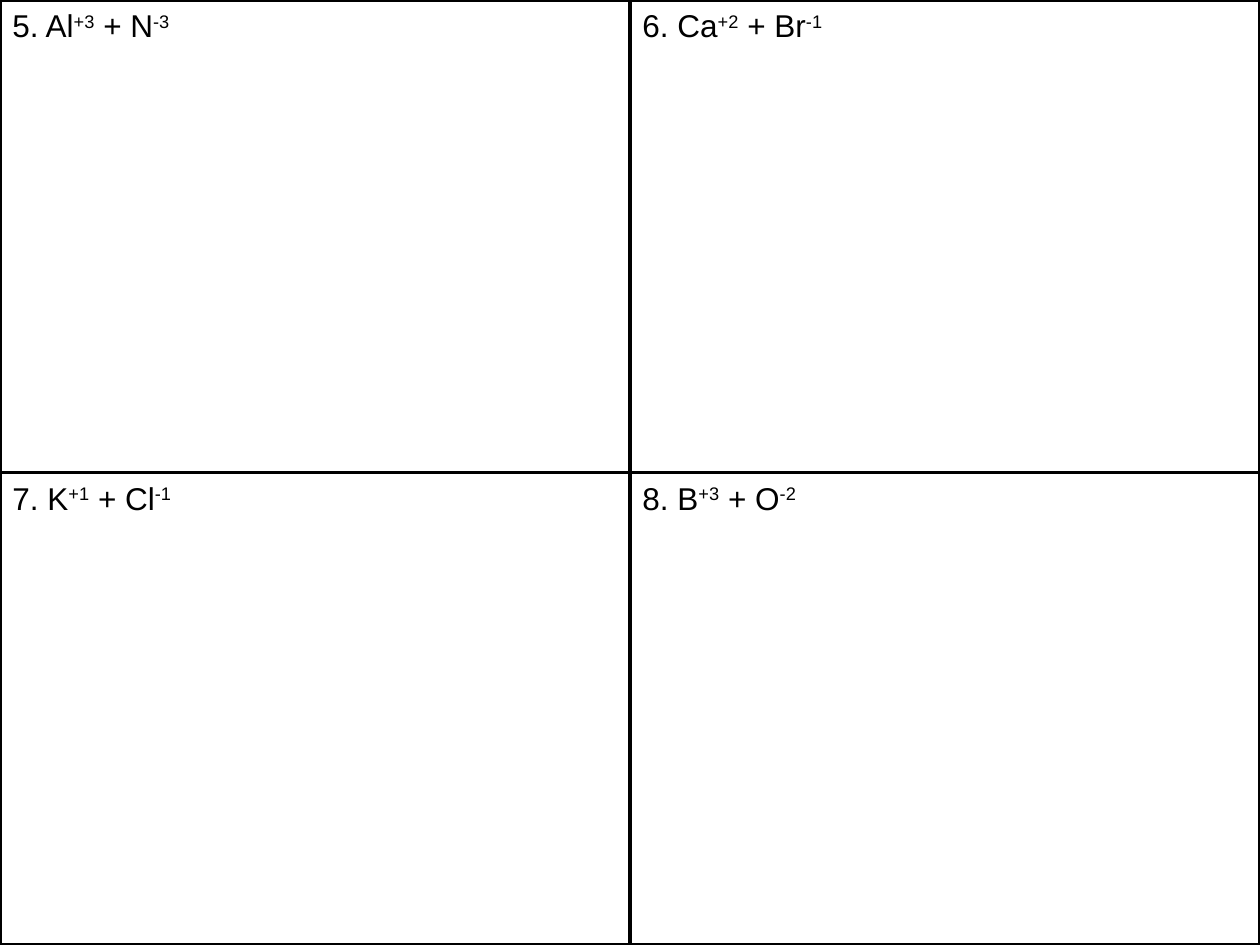
from lxml import etree
from pptx import Presentation
from pptx import util as u
from pptx.dml.color import RGBColor
from pptx.enum import shapes, text
from pptx.oxml.ns import qn

# Content: number, then (symbol, charge) of each ion
PROBLEMS = [
    ("5. ", ("Al", "+3"), ("N", "-3")),
    ("6. ", ("Ca", "+2"), ("Br", "-1")),
    ("7. ", ("K", "+1"), ("Cl", "-1")),
    ("8. ", ("B", "+3"), ("O", "-2")),
]
COLORS = {"ink": "000000", "paper": "FFFFFF"}
WIDTH, HEIGHT = 10, 7.5
COLUMNS, ROWS = 2, 2
CELL_WIDTH, CELL_HEIGHT = WIDTH / COLUMNS, HEIGHT / ROWS
RULE = 2


def color(name):
    return RGBColor.from_string(COLORS[name])


def style_line(line):
    line.color.rgb = color("ink")
    line.width = u.Pt(RULE)


def add_rule(page, start, end):
    rule = page.shapes.add_connector(
        shapes.MSO_CONNECTOR.STRAIGHT, *map(u.Inches, start + end))
    style_line(rule.line)
    etree.SubElement(rule._element.spPr, qn("a:effectLst"))


def add_text(page, spans, left, top, width=WIDTH / 3, height=0.4,
             size=18, font="Arial", ink="ink", raised=30):
    """Add one line of (words, is_superscript) spans."""
    box = page.shapes.add_textbox(*map(u.Inches, (left, top, width, height)))
    frame = box.text_frame
    frame.word_wrap = True
    frame.auto_size = text.MSO_AUTO_SIZE.SHAPE_TO_FIT_TEXT
    para = frame.paragraphs[0]
    for words, is_superscript in spans:
        span = para.add_run()
        span.text = words
        span.font.size = u.Pt(size)
        span.font.name = font
        span.font.color.rgb = color(ink)
        if is_superscript:
            span.font._element.set("baseline", str(raised * 1000))


def main():
    deck = Presentation()
    deck.slide_width, deck.slide_height = u.Inches(WIDTH), u.Inches(HEIGHT)
    page = deck.slides.add_slide(deck.slide_layouts[6])
    page.background.fill.solid()
    page.background.fill.fore_color.rgb = color("paper")

    # Outer border
    border = page.shapes.add_shape(
        shapes.MSO_SHAPE.RECTANGLE, 0, 0, deck.slide_width, deck.slide_height)
    border.shadow.inherit = False
    border.fill.background()
    style_line(border.line)

    # Dividers between the cells
    for column in range(1, COLUMNS):
        x = column * CELL_WIDTH
        add_rule(page, (x, 0), (x, HEIGHT))
    for row in range(1, ROWS):
        y = row * CELL_HEIGHT
        add_rule(page, (0, y), (WIDTH, y))

    # One problem in the corner of each cell
    for index, (number, (metal, plus), (nonmetal, minus)) in enumerate(PROBLEMS):
        row, column = divmod(index, COLUMNS)
        spans = [(number + metal, False), (plus, True),
                 (" + " + nonmetal, False), (minus, True)]
        add_text(page, spans, column * CELL_WIDTH, row * CELL_HEIGHT)

    deck.save("out.pptx")


if __name__ == "__main__":
    main()
